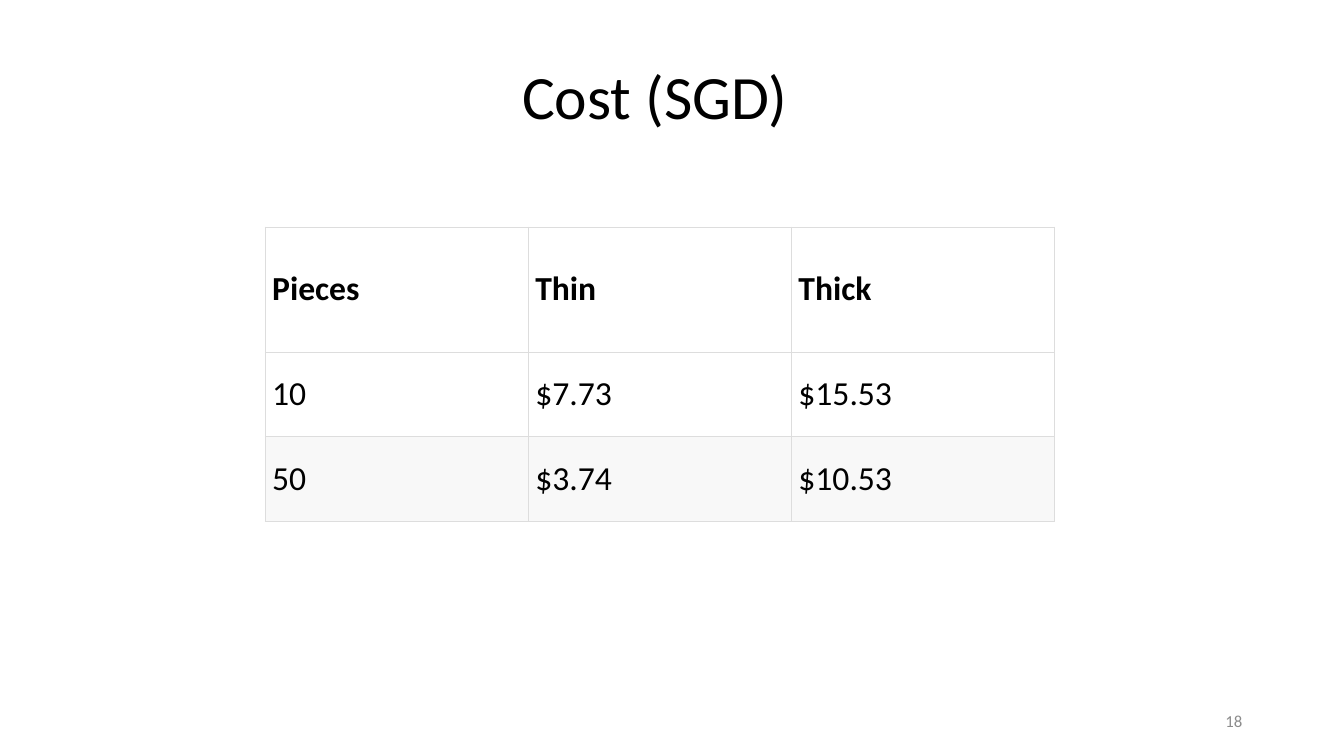
import pptx
import pptx.dml.color
import pptx.enum.text
import pptx.oxml
import pptx.oxml.ns
import pptx.util

ANCHOR = pptx.enum.text.MSO_ANCHOR
ALIGN = pptx.enum.text.PP_ALIGN


def rgb(value):
    """Turn a hex string into a colour."""
    return pptx.dml.color.RGBColor.from_string(value)


class CostSlide:
    """Holds the style and the current slide; positions are inches on it."""

    font = "Calibri"
    ink, muted, rule = "000000", "8C8C8C", "DDDDDD"
    row_fills = ("FFFFFF", "FFFFFF", "F8F8F8")
    width, height = 13.33, 7.5

    def __init__(self):
        """Start a presentation with one blank slide."""
        self.deck = pptx.Presentation()
        self.deck.slide_width = pptx.util.Inches(self.width)
        self.deck.slide_height = pptx.util.Inches(self.height)
        self.slide = self.deck.slides.add_slide(self.deck.slide_layouts[6])

    def x(self, share):
        """Give a share of the slide's width as a length."""
        return pptx.util.Inches(round(self.width * share, 2))

    def y(self, share):
        """Give a share of the slide's height as a length."""
        return pptx.util.Inches(round(self.height * share, 2))

    def style(self, paragraph, size, colour, bold=False):
        """Set the font of a paragraph."""
        paragraph.font.name = self.font
        paragraph.font.size = pptx.util.Pt(size)
        paragraph.font.bold = bold
        paragraph.font.color.rgb = rgb(colour)

    def text(self, wording, left, top, width, height, size, colour, align, spacing=1.0):
        """Add a line of text, centred vertically in its box."""
        frame = self.slide.shapes.add_textbox(
            self.x(left), self.y(top), self.x(width), self.y(height)).text_frame
        frame.word_wrap = True
        frame.vertical_anchor = ANCHOR.MIDDLE
        line = frame.paragraphs[0]
        line.text = wording
        line.alignment = align
        line.line_spacing = spacing
        self.style(line, size, colour)

    def borders(self, cell):
        """Draw a thin rule on all four sides of a cell."""
        properties = cell._tc.get_or_add_tcPr()
        for position, side in enumerate(("lnL", "lnR", "lnT", "lnB")):
            properties.insert(position, pptx.oxml.parse_xml(
                f'<a:{side} {pptx.oxml.ns.nsdecls("a")} w="{pptx.util.Pt(0.38)}">'
                f'<a:solidFill><a:srgbClr val="{self.rule}"/></a:solidFill></a:{side}>'))

    def table(self, prices, left, top, column, row_heights):
        """Add a table with a bold heading row and equal columns."""
        grid = self.slide.shapes.add_table(
            len(prices), len(prices[0]), self.x(left), self.y(top),
            self.x(column * len(prices[0])), self.y(sum(row_heights))).table
        for grid_column in grid.columns:
            grid_column.width = self.x(column)
        for index, (entries, share) in enumerate(zip(prices, row_heights)):
            grid.rows[index].height = self.y(share)
            for cell, entry in zip(grid.rows[index].cells, entries):
                cell.text = entry
                cell.vertical_anchor = ANCHOR.MIDDLE
                cell.margin_left = cell.margin_right = pptx.util.Inches(0.07)
                cell.margin_top = cell.margin_bottom = pptx.util.Inches(0.03)
                cell.fill.solid()
                cell.fill.fore_color.rgb = rgb(self.row_fills[index])
                self.style(cell.text_frame.paragraphs[0], 24, self.ink, index == 0)
                self.borders(cell)


def main():
    """Build the cost slide and save it."""
    cost = CostSlide()
    cost.text("Cost (SGD)", 0.381, 0.035, 0.225, 0.193, 44, cost.ink, ALIGN.LEFT, 0.9)
    cost.text("18", 0.707, 0.927, 0.225, 0.053, 12, cost.muted, ALIGN.RIGHT)
    prices = (
        ("Pieces", "Thin", "Thick"),
        ("10", "$7.73", "$15.53"),
        ("50", "$3.74", "$10.53"),
    )
    cost.table(prices, 0.197, 0.3, 0.196, (0.165, 0.112, 0.112))
    cost.deck.save("out.pptx")


if __name__ == "__main__":
    main()
